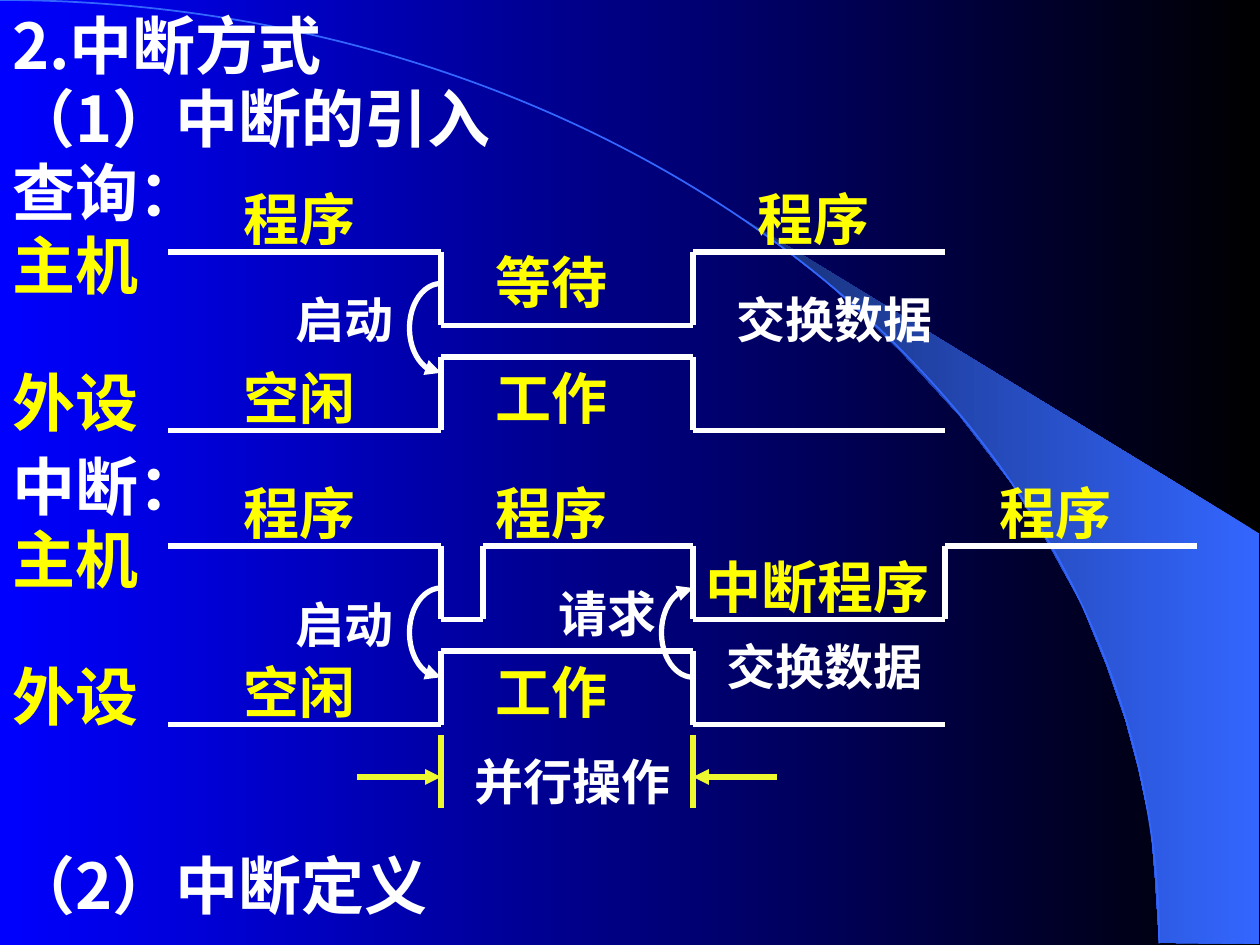
from itertools import pairwise

from lxml.etree import SubElement
from pptx import Presentation
from pptx.dml.color import RGBColor
from pptx.enum.shapes import MSO_CONNECTOR, MSO_SHAPE
from pptx.enum.text import MSO_AUTO_SIZE
from pptx.oxml.ns import qn
from pptx.util import Pt

SCALE = 7620
WHITE = RGBColor(0xFF, 0xFF, 0xFF)
YELLOW = RGBColor(0xFF, 0xFF, 0x00)
LEMON = RGBColor(0xEE, 0xF8, 0x2E)
BLACK = RGBColor(0x00, 0x00, 0x00)
BLUE = RGBColor(0x00, 0x00, 0xFF)
SKY = RGBColor(0x33, 0x66, 0xFF)
NAVY = RGBColor(0x17, 0x2F, 0x75)
SANS = "Noto Sans CJK SC"
SERIF = "Times New Roman"
HEIGHTS = {36: 84, 32: 77, 28: 68}
LEFT, START, DONE, END = 160, 420, 660, 900
SWOOSH = [
    (1104, 898), (1199, 899), (1199, 508), (707, 208), (749, 239), (784, 266),
    (822, 300), (859, 336), (914, 396), (964, 461), (998, 517), (1030, 575),
    (1054, 634), (1072, 686), (1084, 731), (1096, 787), (1100, 835), (1104, 898),
]


def px(*sizes):
    """Turn px lengths into EMU."""
    return [size * SCALE for size in sizes]


def blend(fill, first, last):
    """Fill from first at the right to last at the left."""
    fill.gradient()
    fill.gradient_angle = 180
    for stop, color in zip(fill.gradient_stops, (first, last)):
        stop.color.rgb = color


def add_text(slide, text, x, y, width, size, color):
    """Add a bold line of text."""
    box = slide.shapes.add_textbox(*px(x, y, width, HEIGHTS[size]))
    frame = box.text_frame
    frame.word_wrap = True
    frame.auto_size = MSO_AUTO_SIZE.SHAPE_TO_FIT_TEXT
    para = frame.paragraphs[0]
    para.text = text
    font = para.font
    font.size, font.bold = Pt(size), True
    font.name = SANS if size == 36 else SERIF
    font.color.rgb = color
    base = para._p.pPr.find(qn("a:defRPr"))
    SubElement(base, qn("a:ea"), typeface=SANS)


def add_tip(shape, end):
    """Put a triangle at headEnd or tailEnd of a line."""
    line = shape._element.spPr.find(qn("a:ln"))
    SubElement(line, qn(f"a:{end}"), type="triangle")


def add_line(slide, start, stop, color=WHITE, tip=None):
    """Add a straight line, with a tip if one is named."""
    line = slide.shapes.add_connector(MSO_CONNECTOR.STRAIGHT, *px(*start, *stop))
    line.line.color.rgb = color
    line.line.width = Pt(3)
    SubElement(line._element.spPr, qn("a:effectLst"))
    if tip:
        add_tip(line, tip)


def add_wave(slide, *points):
    """Join points with straight lines."""
    for start, stop in pairwise(points):
        add_line(slide, start, stop)


def add_arc(slide, x, y, width, height, color=WHITE, weight=3):
    """Add the open arc of an ellipse."""
    arc = slide.shapes.add_shape(MSO_SHAPE.ARC, *px(x, y, width, height))
    arc.shadow.inherit = False
    arc.fill.background()
    arc.line.color.rgb = color
    arc.line.width = Pt(weight)
    return arc


def add_signal(slide, x, y, tip):
    """Add a left half arc with a tip at its foot or top."""
    arc = add_arc(slide, x - 30, y, 60, 85)
    arc.adjustments[0], arc.adjustments[1] = 54, 162
    add_tip(arc, tip)


def add_decor(slide):
    """Draw the backdrop with its swoosh and large arc."""
    blend(slide.background.fill, BLACK, BLUE)
    path = slide.shapes.build_freeform(*SWOOSH[0], scale=SCALE)
    path.add_line_segments(SWOOSH[1:])
    swoosh = path.convert_to_shape()
    swoosh.shadow.inherit = False
    blend(swoosh.fill, SKY, NAVY)
    swoosh.line.fill.background()
    add_arc(slide, -1104, 0, 2208, 1797, SKY, 1)


def add_stage(slide, name, top, signal):
    """Draw what both modes share: labels, device wave and start signal."""
    add_text(slide, name, 0, top, 310, 36, WHITE)
    for text, gap in (("主机", 70), ("外设", 200)):
        add_text(slide, text, 0, top + gap, 180, 36, YELLOW)
    for text, x, gap in (("程序", 220, 30), ("空闲", 220, 200), ("工作", 460, 200)):
        add_text(slide, text, x, top + gap, 150, 32, YELLOW)
    high, low = top + 200, top + 270
    add_wave(slide, (LEFT, low), (START, low), (START, high),
             (DONE, high), (DONE, low), (END, low))
    add_text(slide, "启动", 270, signal, 130, 28, WHITE)
    add_signal(slide, START, signal, "headEnd")


def add_query(slide):
    """Draw the query mode."""
    add_stage(slide, "查询：", 140, 270)
    add_wave(slide, (LEFT, 240), (START, 240), (START, 310),
             (DONE, 310), (DONE, 240), (END, 240))
    add_text(slide, "等待", 460, 230, 150, 32, YELLOW)
    add_text(slide, "程序", 710, 170, 220, 32, YELLOW)
    add_text(slide, "交换数据", 690, 270, 240, 28, WHITE)


def add_break(slide):
    """Draw the interrupt mode."""
    add_stage(slide, "中断：", 420, 560)
    add_wave(slide, (LEFT, 520), (START, 520), (START, 590), (460, 590), (460, 520),
             (DONE, 520), (DONE, 590), (END, 590), (END, 520), (1140, 520))
    for x in (460, 940):
        add_text(slide, "程序", x, 450, 220, 32, YELLOW)
    add_text(slide, "中断程序", DONE, 520, 270, 32, YELLOW)
    add_text(slide, "请求", 520, 550, 130, 28, WHITE)
    add_signal(slide, DONE, 560, "tailEnd")
    add_text(slide, "交换数据", 680, 600, 240, 28, WHITE)


def add_span(slide):
    """Mark the span of parallel work."""
    for x in (START, DONE):
        add_line(slide, (x, 700), (x, 770), LEMON)
    add_line(slide, (START - 80, 740), (START, 740), LEMON, "tailEnd")
    add_line(slide, (DONE, 740), (DONE + 80, 740), LEMON, "headEnd")
    add_text(slide, "并行操作", 440, 710, 270, 28, WHITE)


def main():
    """Build and save the slide."""
    deck = Presentation()
    deck.slide_width, deck.slide_height = px(1200, 900)
    slide = deck.slides.add_slide(deck.slide_layouts[6])
    add_decor(slide)
    add_text(slide, "2.中断方式", 0, 0, 900, 36, WHITE)
    add_text(slide, "（1）中断的引入", 0, 70, 560, 36, WHITE)
    add_query(slide)
    add_break(slide)
    add_span(slide)
    add_text(slide, "（2）中断定义", 0, 800, 560, 36, WHITE)
    deck.save("out.pptx")


if __name__ == "__main__":
    main()
